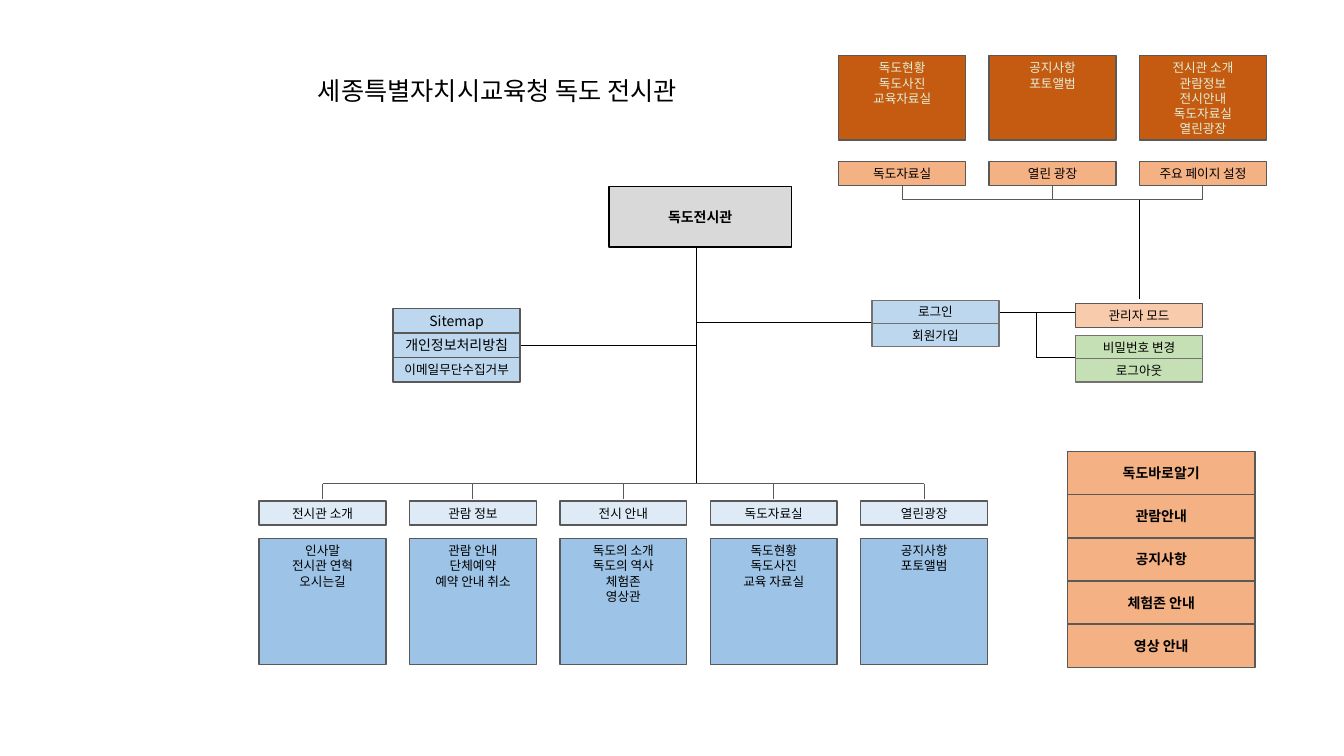
"""Build the site map slide of the Dokdo exhibition hall."""
from lxml import etree
from pptx import Presentation, util as u
from pptx.dml.color import RGBColor
from pptx.enum import shapes, text
from pptx.oxml import ns

FONT = "Noto Sans CJK KR"
BLACK, GREY, MID_GREY = "000000", "595959", "767171"
PALE_BLUE, LIGHT_BLUE, BLUE = "DEEBF7", "BDD7EE", "9DC3E6"
PEACH, ORANGE, RUST, GREEN = "F8CBAD", "F4B183", "C55A11", "C5E0B4"
CARD_WIDTH, LABEL_HEIGHT, PITCH = 12.6, 2.4, 14.92


def grid(cells):
    """Turn columns or rows of a tenth of an inch into a length."""
    return u.Inches(cells / 10)


def color(hex_code):
    """Turn a hex string into a colour."""
    return RGBColor.from_string(hex_code)


def write(frame, lines, size=9, ink=BLACK, bold=False, anchor="MIDDLE", top=0):
    """Write centred lines into a text frame."""
    frame.word_wrap = True
    frame.vertical_anchor = text.MSO_ANCHOR[anchor]
    frame.margin_left = frame.margin_right = frame.margin_bottom = 0
    frame.margin_top = grid(top)
    for index, line in enumerate(lines):
        paragraph = frame.add_paragraph() if index else frame.paragraphs[0]
        paragraph.alignment = text.PP_ALIGN.CENTER
        paragraph.line_spacing = u.Pt(size * 1.2)
        run = paragraph.add_run()
        run.text = line
        font = run.font
        font.size, font.bold, font.name = u.Pt(size), bold, FONT
        font.color.rgb = color(ink)
        etree.SubElement(font._element, ns.qn("a:ea"), typeface=FONT)


def block(slide, box, lines, fill, border=GREY, **style):
    """Draw a bordered rectangle with its text."""
    rect = slide.shapes.add_shape(shapes.MSO_SHAPE.RECTANGLE, *map(grid, box))
    rect.shadow.inherit = False
    rect.fill.solid()
    rect.fill.fore_color.rgb = color(fill)
    rect.line.color.rgb = color(border)
    rect.line.width = u.Pt(1)
    write(rect.text_frame, lines, **style)


def link(slide, start, end, ink=BLACK, width=0.5):
    """Draw a straight line between two grid points."""
    line = slide.shapes.add_connector(
        shapes.MSO_CONNECTOR.STRAIGHT, *map(grid, (*start, *end)))
    line.line.color.rgb = color(ink)
    line.line.width = u.Pt(width)
    etree.SubElement(line._element.spPr, ns.qn("a:effectLst"))


def heading(slide, box, line):
    """Place the slide title."""
    title = slide.shapes.title
    title.left, title.top, title.width, title.height = map(grid, box)
    write(title.text_frame, [line], size=18)


def cards(slide, box, pages, head, body, bus, fills, ink=BLACK):
    """Draw a row of labelled page lists hung on a common line."""
    left, top, width, height = box
    stem = head + LABEL_HEIGHT if bus > head else head - 0.2
    centers = []
    for index, (name, entries) in enumerate(pages):
        x = left + index * PITCH
        centers.append(x + width / 2)
        block(slide, (x, top + head, width, LABEL_HEIGHT), [name], fills[0])
        block(slide, (x, top + body, width, height), entries, fills[1],
              ink=ink, anchor="TOP", top=0.5)
        link(slide, (centers[-1], top + bus), (centers[-1], top + stem), GREY, 0.75)
    link(slide, (centers[0], top + bus), (centers[-1], top + bus), GREY)


def stack(slide, box, labels, fill, border=GREY, sizes=None, **style):
    """Fill a box with labels of equal height, one under the other."""
    left, top, width, height = box
    step = height / len(labels)
    for index, label in enumerate(labels):
        size = sizes[index] if sizes else 9
        block(slide, (left, top + index * step, width, step), [label],
              fill, border, size=size, **style)


def trunk(slide, box):
    """Draw the main line with its branches to both sides."""
    left, top, width, height = box
    middle = left + 17.4
    link(slide, (middle, top), (middle, top + height))
    link(slide, (left, top + 10), (middle, top + 10))
    link(slide, (middle, top + 7.7), (left + width, top + 7.7))


def admin_links(slide, box):
    """Join the login box to the manager and member boxes."""
    left, top, width, height = box
    fork = left + width / 2
    link(slide, (left, top), (left + width, top))
    link(slide, (fork, top), (fork, top + height))
    link(slide, (fork, top + height), (left + width, top + height))
    link(slide, (left + 14, top - 1.3), (left + 14, top - 11.2))


def build():
    """Assemble and save the slide."""
    deck = Presentation()
    deck.slide_width, deck.slide_height = grid(133.33), grid(75)
    slide = deck.slides.add_slide(deck.slide_layouts[5])
    heading(slide, (26.8, 7, 45.1, 4), "세종특별자치시교육청 독도 전시관")
    trunk(slide, (51.7, 24.3, 34.8, 23.7))
    admin_links(slide, (99, 31, 7.7, 4.5))
    block(slide, (60.4, 18.5, 18.1, 6), ["독도전시관"], "D9D9D9", BLACK,
          size=10, bold=True)
    stack(slide, (39, 30.6, CARD_WIDTH, 7.3),
          ["Sitemap", "개인정보처리방침", "이메일무단수집거부"], LIGHT_BLUE,
          sizes=(10, 10, 9))
    stack(slide, (86.5, 29.8, CARD_WIDTH, 4.6), ["로그인", "회원가입"],
          LIGHT_BLUE, MID_GREY)
    stack(slide, (106.7, 33.3, CARD_WIDTH, 4.6), ["비밀번호 변경", "로그아웃"],
          GREEN, MID_GREY)
    block(slide, (106.7, 30.1, CARD_WIDTH, LABEL_HEIGHT), ["관리자 모드"], PEACH)
    cards(slide, (25.7, 48, CARD_WIDTH, 12.5), [
        ("전시관 소개", ["인사말", "전시관 연혁", "오시는길"]),
        ("관람 정보", ["관람 안내", "단체예약", "예약 안내 취소"]),
        ("전시 안내", ["독도의 소개", "독도의 역사", "체험존", "영상관"]),
        ("독도자료실", ["독도현황", "독도사진", "교육 자료실"]),
        ("열린광장", ["공지사항", "포토앨범"]),
    ], head=1.7, body=5.4, bus=0, fills=(PALE_BLUE, BLUE))
    cards(slide, (83.2, 5.5, CARD_WIDTH, 8.4), [
        ("독도자료실", ["독도현황", "독도사진", "교육자료실"]),
        ("열린 광장", ["공지사항", "포토앨범"]),
        ("주요 페이지 설정",
         ["전시관 소개", "관람정보", "전시안내", "독도자료실", "열린광장"]),
    ], head=10.5, body=0, bus=14.3, fills=(ORANGE, RUST), ink="E2F0D9")
    stack(slide, (105.9, 44.8, 18.6, 21.4),
          ["독도바로알기", "관람안내", "공지사항", "체험존 안내", "영상 안내"],
          ORANGE, sizes=[10] * 5, bold=True)
    deck.save("out.pptx")


build()
